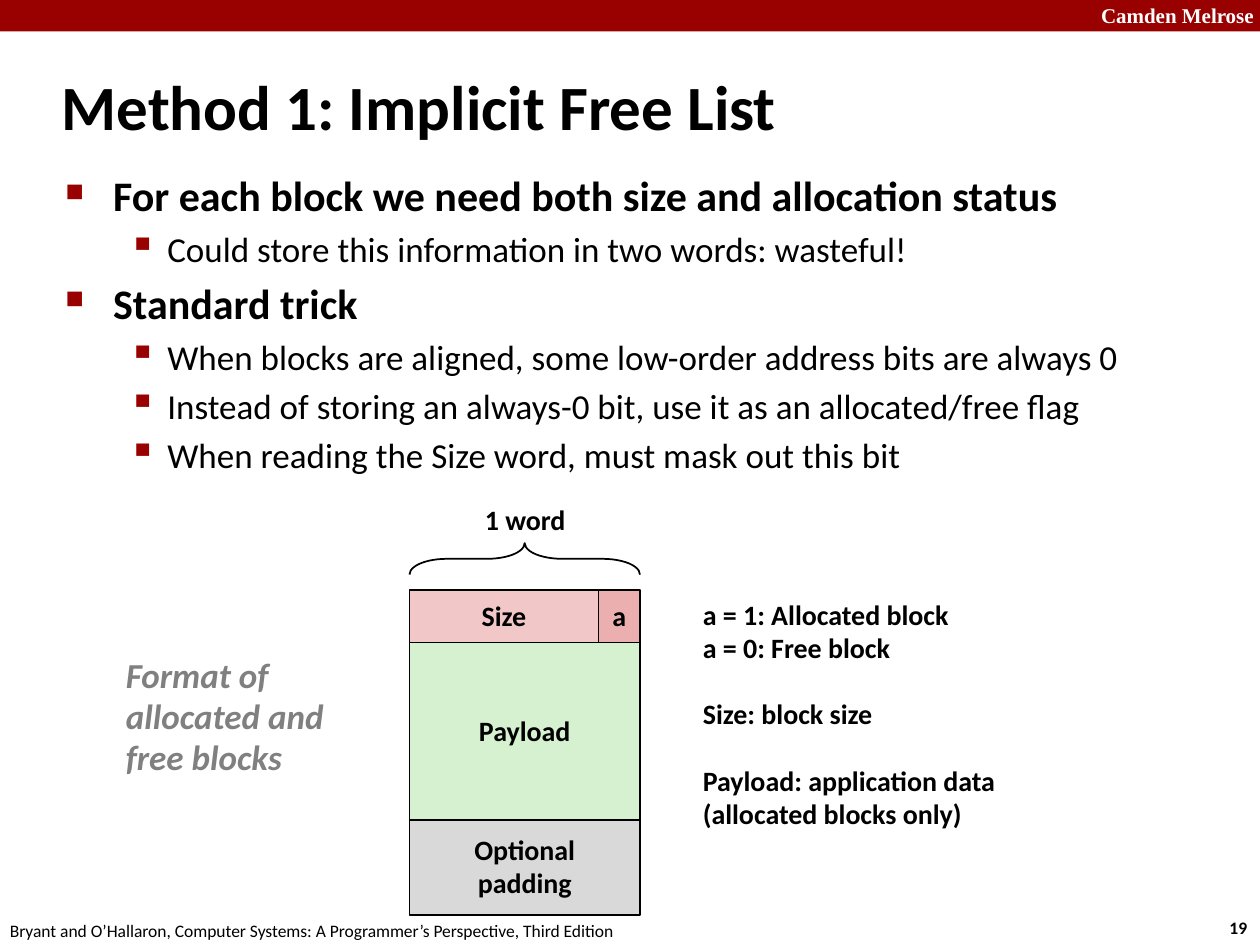
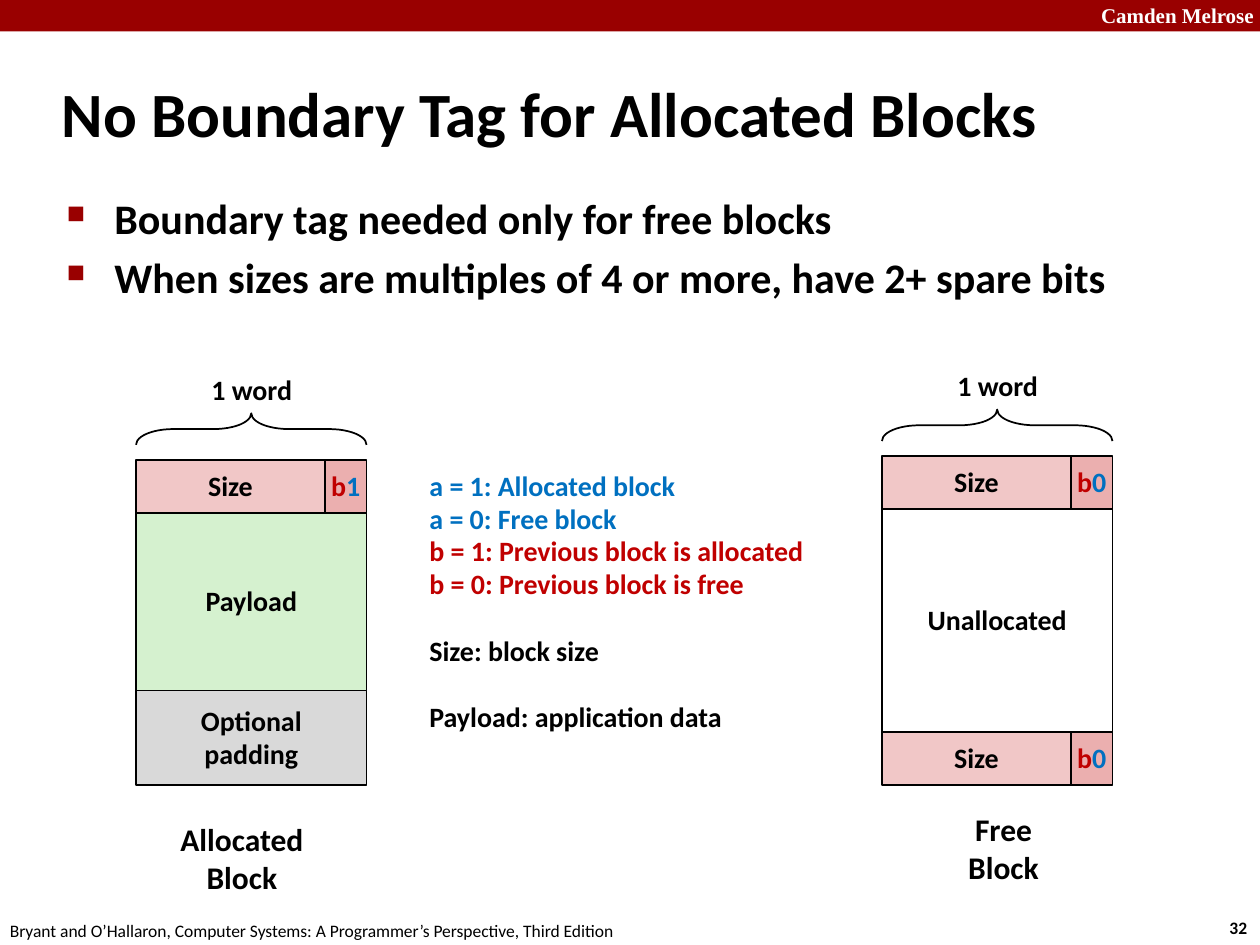
import dataclasses

import pptx
import pptx.dml.color
import pptx.enum.shapes
import pptx.enum.text
import pptx.oxml
import pptx.oxml.ns
import pptx.util
from pptx.util import Inches

COLORS = {
    "black": "000000", "white": "FFFFFF", "band": "990000", "grey": "808080",
    "size": "F1C7C7", "flag": "EBAFAF", "payload": "D5F1CF", "padding": "D9D9D9",
    "blue": "0070C0", "red": "C00000",
}
FONT = "Calibri"
HEADER = "Camden Melrose"
FOOTER = ("Bryant and O\u2019Hallaron, Computer Systems: "
          "A Programmer\u2019s Perspective, Third Edition")
BLOCK_W, SIZE_W, HEAD_H = 1.83, 1.5, 0.42
PAYLOAD_H, PADDING_H, FREE_H = 1.41, 0.75, 1.77
BRACE_H = 0.25
LEFT = pptx.enum.text.PP_ALIGN.LEFT
CENTER = pptx.enum.text.PP_ALIGN.CENTER
MIDDLE = pptx.enum.text.MSO_ANCHOR.MIDDLE
RECT = pptx.enum.shapes.MSO_SHAPE.RECTANGLE


@dataclasses.dataclass
class Run:
    """A piece of text in one colour."""
    text: str
    color: str = "black"


@dataclasses.dataclass
class Line:
    """A paragraph, with the space before it in points."""
    runs: list[Run]
    gap: float = 0


@dataclasses.dataclass
class Style:
    """The look of a text."""
    size: float = 16
    bold: bool = True
    italic: bool = False
    font: str = FONT
    align: int = LEFT
    spacing: float = 0.98


@dataclasses.dataclass
class Bullet:
    """A bullet text and its level."""
    text: str
    level: int = 0


@dataclasses.dataclass
class BulletStyle:
    """The look of one bullet level."""
    char: str
    char_pct: int
    margin: float
    hanging: float
    text: Style


@dataclasses.dataclass
class Section:
    """One row of a memory block; a flag splits off a cell at its right."""
    text: list[Line]
    height: float
    fill: str | None
    flag: list[Run] | None = None


BULLETS = [
    BulletStyle("\u25a0", 60, 0.38, 0.38, Style(24, spacing=1)),
    BulletStyle("\u25aa", 110, 0.81, 0.31, Style(20, bold=False, spacing=1)),
]


def rgb(name: str) -> pptx.dml.color.RGBColor:
    """Look up a colour of the deck."""
    return pptx.dml.color.RGBColor.from_string(COLORS[name])


def lines(*texts: str, color: str = "black") -> list[Line]:
    """Make one-colour paragraphs."""
    return [Line([Run(t, color)]) for t in texts]


def add_run(p, run: Run, style: Style) -> None:
    """Add one formatted run to a paragraph."""
    r = p.add_run()
    r.text = run.text
    r.font.name = style.font
    r.font.size = pptx.util.Pt(style.size)
    r.font.bold, r.font.italic = style.bold, style.italic
    r.font.color.rgb = rgb(run.color)


def fill_text(tf, content: list[Line], style: Style) -> None:
    """Write paragraphs into a text frame."""
    for i, line in enumerate(content):
        p = tf.paragraphs[0] if i == 0 else tf.add_paragraph()
        p.alignment = style.align
        p.line_spacing = style.spacing
        p.space_before = pptx.util.Pt(line.gap)
        for run in line.runs:
            add_run(p, run, style)


def add_text(s, x: float, y: float, w: float, h: float,
             content: list[Line], style: Style) -> None:
    """Add an unwrapped text box that fits its text."""
    tf = s.shapes.add_textbox(Inches(x), Inches(y), Inches(w), Inches(h)).text_frame
    tf.word_wrap = False
    tf.auto_size = pptx.enum.text.MSO_AUTO_SIZE.SHAPE_TO_FIT_TEXT
    fill_text(tf, content, style)


def add_box(s, x: float, y: float, w: float, h: float, fill: str | None,
            content: list[Line], outlined: bool = True) -> None:
    """Add a rectangle with centred text."""
    sp = s.shapes.add_shape(RECT, Inches(x), Inches(y), Inches(w), Inches(h))
    sp.shadow.inherit = False
    if fill:
        sp.fill.solid()
        sp.fill.fore_color.rgb = rgb(fill)
    else:
        sp.fill.background()
    if outlined:
        sp.line.color.rgb = rgb("black")
        sp.line.width = pptx.util.Pt(1)
    else:
        sp.line.fill.background()
    tf = sp.text_frame
    tf.word_wrap = False
    tf.vertical_anchor = MIDDLE
    fill_text(tf, content, Style(align=CENTER))


def add_brace(s, x: float, y: float) -> None:
    """Add a brace that spans a block and points upwards."""
    left = x + (BLOCK_W - BRACE_H) / 2
    top = y + (BRACE_H - BLOCK_W) / 2
    sp = s.shapes.add_shape(pptx.enum.shapes.MSO_SHAPE.RIGHT_BRACE, Inches(left),
                            Inches(top), Inches(BRACE_H), Inches(BLOCK_W))
    sp.rotation = 270
    sp.adjustments[0], sp.adjustments[1] = 1.188, 0.5
    sp.shadow.inherit = False
    sp.fill.background()
    sp.line.color.rgb = rgb("black")
    sp.line.width = pptx.util.Pt(1)


def add_block(s, x: float, y: float, sections: list[Section]) -> None:
    """Stack the sections of a block under a one-word brace."""
    add_text(s, x + 0.5, y - 0.73, 0.85, 0.37, lines("1 word"), Style())
    add_brace(s, x, y - 0.37)
    for sec in sections:
        w = SIZE_W if sec.flag else BLOCK_W
        add_box(s, x, y, w, sec.height, sec.fill, sec.text)
        if sec.flag:
            add_box(s, x + w, y, BLOCK_W - w, sec.height, "flag", [Line(sec.flag)])
        y += sec.height


def tag(flag: list[Run]) -> Section:
    """Make a size row with its flag cell."""
    return Section(lines("Size"), HEAD_H, "size", flag)


def allocated(flag: list[Run]) -> list[Section]:
    """List the sections of an allocated block."""
    return [tag(flag),
            Section(lines("Payload"), PAYLOAD_H, "payload"),
            Section(lines("Optional", "padding"), PADDING_H, "padding")]


def add_bullets(s, x: float, y: float, w: float, h: float,
                bullets: list[Bullet]) -> None:
    """Add the bulleted body text."""
    tf = s.shapes.add_textbox(Inches(x), Inches(y), Inches(w), Inches(h)).text_frame
    tf.word_wrap = True
    for i, b in enumerate(bullets):
        look = BULLETS[b.level]
        p = tf.paragraphs[0] if i == 0 else tf.add_paragraph()
        p.level = b.level
        p.space_before = pptx.util.Pt(look.text.size * 0.2)
        add_run(p, Run(b.text), look.text)
        ppr = p._p.get_or_add_pPr()
        ppr.set("marL", str(Inches(look.margin)))
        ppr.set("indent", str(-Inches(look.hanging)))
        ns = pptx.oxml.ns.nsdecls("a")
        for xml in (
            f'<a:buClr {ns}><a:srgbClr val="{COLORS["band"]}"/></a:buClr>',
            f'<a:buSzPct {ns} val="{look.char_pct * 1000}"/>',
            f'<a:buChar {ns} char="{look.char}"/>',
        ):
            ppr.append(pptx.oxml.parse_xml(xml))


def new_slide(prs, title: str, number: int, y: float, w: float, h: float):
    """Add a slide with title, band, header, footer and page number."""
    s = prs.slides.add_slide(prs.slide_layouts[5])
    add_box(s, 0, 0, 10, 0.25, "band", [], outlined=False)
    add_text(s, 8.64, -0.03, 1.43, 0.3, lines(HEADER, color="white"),
             Style(12, font="Times New Roman", spacing=1))
    add_text(s, 9.66, 7.23, 0.37, 0.27, lines(str(number)), Style(10, spacing=1))
    add_text(s, -0.02, 7.25, 5.08, 0.27, lines(FOOTER),
             Style(10, bold=False, spacing=1))
    sp = s.shapes.title
    sp.left, sp.top, sp.width, sp.height = map(Inches, (0.39, y, w, h))
    tf = sp.text_frame
    tf.auto_size = pptx.enum.text.MSO_AUTO_SIZE.NONE
    tf.vertical_anchor = MIDDLE
    fill_text(tf, lines(title), Style(36, spacing=1))
    return s


def implicit_list_slide(prs) -> None:
    """Build the slide on the implicit free list."""
    s = new_slide(prs, "Method 1: Implicit Free List", 19, 0.52, 7.21, 0.63)
    add_bullets(s, 0.42, 1.3, 9.03, 2.36, [
        Bullet("For each block we need both size and allocation status"),
        Bullet("Could store this information in two words: wasteful!", 1),
        Bullet("Standard trick"),
        Bullet("When blocks are aligned, some low-order address bits are always 0", 1),
        Bullet("Instead of storing an always-0 bit, use it as an allocated/free flag", 1),
        Bullet("When reading the Size word, must mask out this bit", 1),
    ])
    add_block(s, 3.25, 4.68, allocated([Run("a")]))
    add_text(s, 0.9, 5.15, 1.78, 1.09,
             lines("Format of", "allocated and", "free blocks", color="grey"),
             Style(20, italic=True))
    legend = lines("a = 1: Allocated block", "a = 0: Free block", "Size: block size",
                   "Payload: application data", "(allocated blocks only)")
    legend[2].gap = legend[3].gap = 19
    add_text(s, 5.48, 4.71, 2.55, 2.22, legend, Style())


def boundary_tag_slide(prs) -> None:
    """Build the slide that compares allocated and free blocks."""
    s = new_slide(prs, "No Boundary Tag for Allocated Blocks", 32, 0.48, 8.3, 0.83)
    add_bullets(s, 0.43, 1.48, 9.23, 0.98, [
        Bullet("Boundary tag needed only for free blocks"),
        Bullet("When sizes are multiples of 4 or more, have 2+ spare bits"),
    ])
    add_block(s, 1.08, 3.65, allocated([Run("b", "red"), Run("1", "blue")]))
    free_tag = tag([Run("b", "red"), Run("0", "blue")])
    add_block(s, 7, 3.62, [
        free_tag, Section(lines("Unallocated"), FREE_H, None), free_tag])
    legend = (
        lines("a = 1: Allocated block", "a = 0: Free block", color="blue")
        + lines("b = 1: Previous block is allocated",
                "b = 0: Previous block is free", color="red")
        + lines("Size: block size", "Payload: application data"))
    legend[4].gap = legend[5].gap = 19
    add_text(s, 3.31, 3.68, 3.21, 2.21, legend, Style())
    caption = Style(18, align=CENTER, spacing=1)
    add_text(s, 1.33, 6.46, 1.18, 0.71, lines("Allocated", "Block"), caption)
    add_text(s, 7.58, 6.38, 0.77, 0.71, lines("Free", "Block"), caption)


def main() -> None:
    """Build and save the deck."""
    prs = pptx.Presentation()
    prs.slide_width, prs.slide_height = Inches(10), Inches(7.5)
    implicit_list_slide(prs)
    boundary_tag_slide(prs)
    prs.save("out.pptx")


main()
